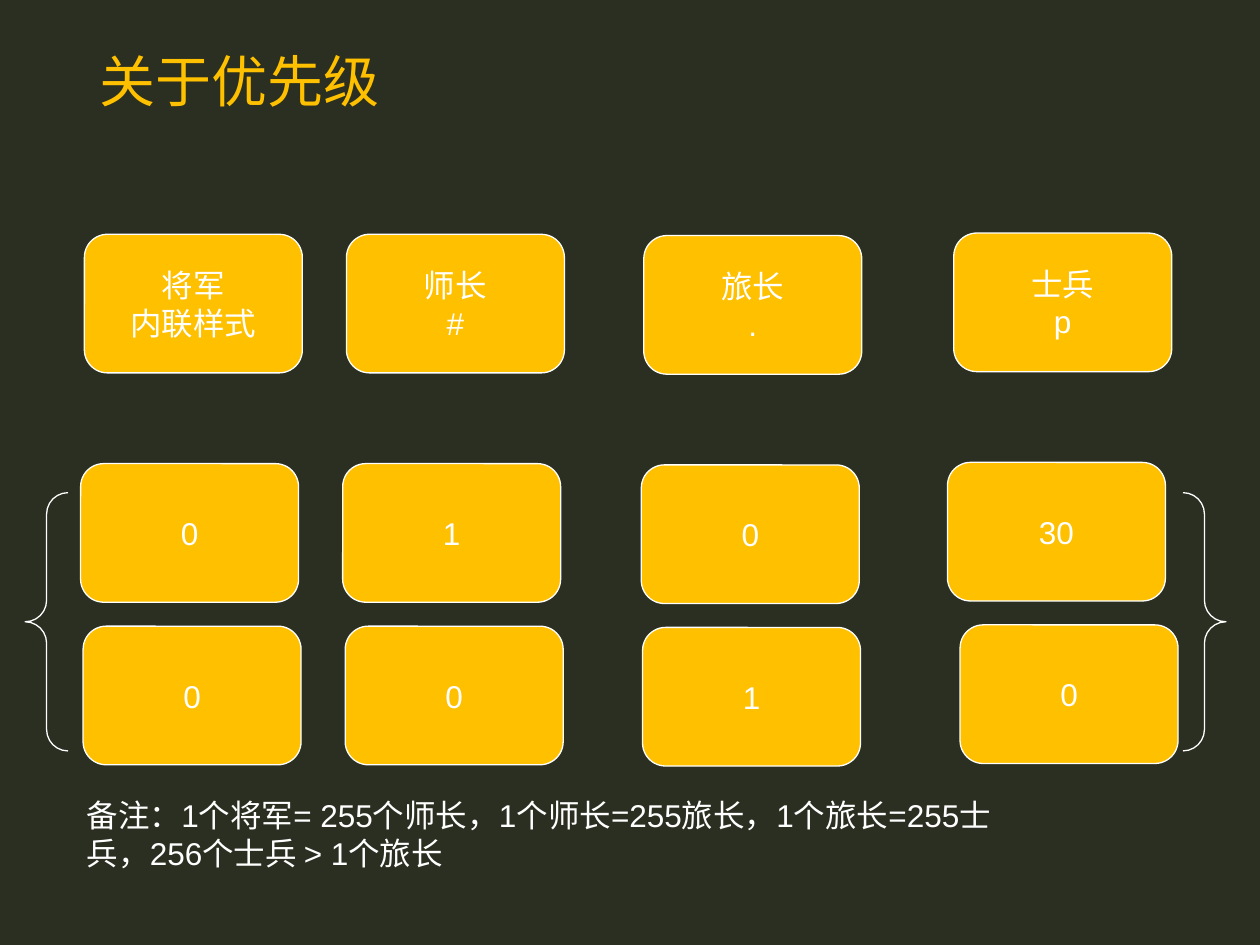
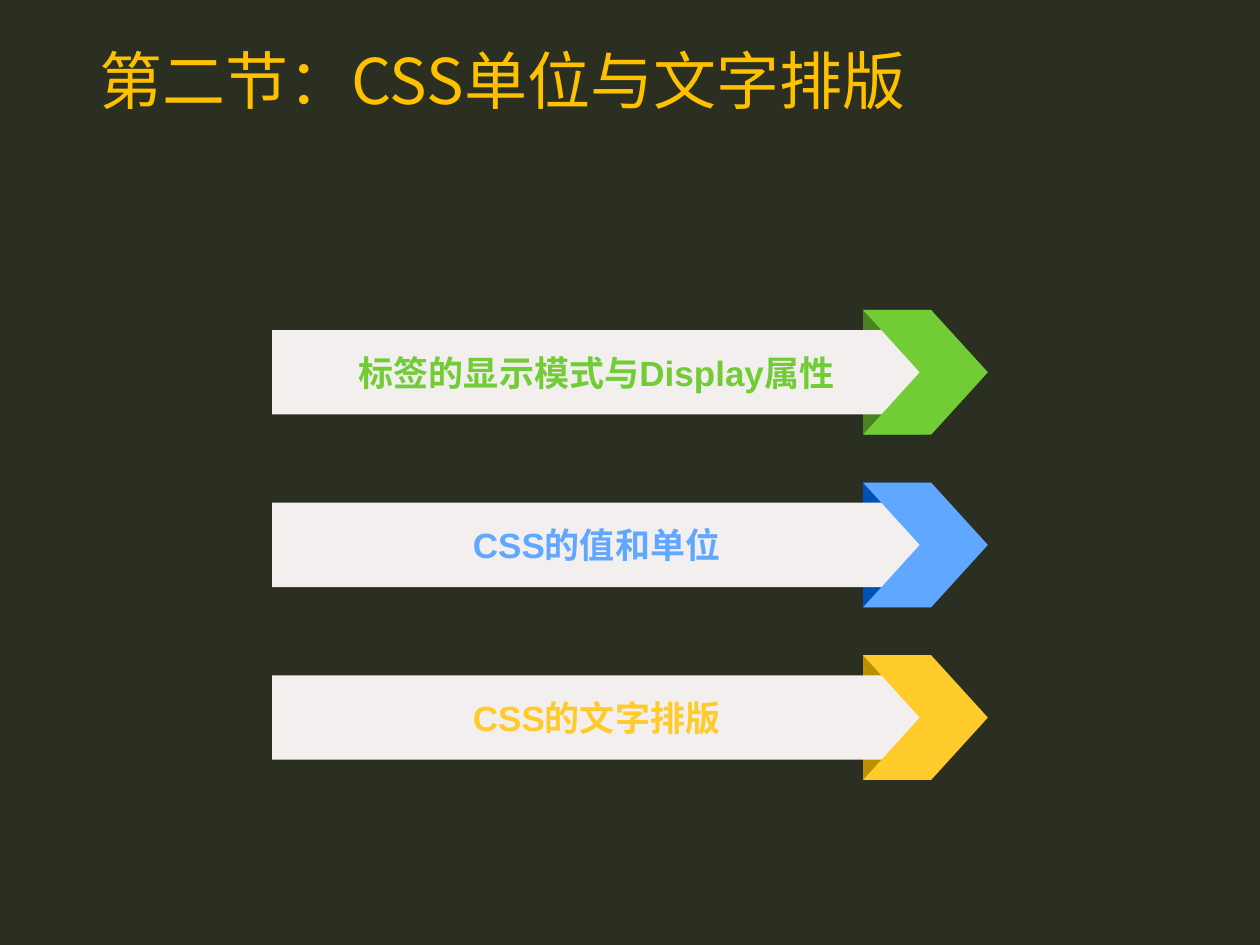
from lxml import etree
from pptx import Presentation
from pptx.dml.color import RGBColor
from pptx.enum import shapes, text
from pptx.oxml.ns import qn
from pptx.util import Inches, Pt

DARK, GOLD, WHITE, PALE = "2A2F21", "FFC000", "FFFFFF", "F3EFEF"
BODY, CJK = "Arial", "Noto Sans CJK SC"
SHAPE = shapes.MSO_SHAPE
CARD_W, CARD_H = 1.73, 1.1
COLUMN_NUDGES = (0, 0, 0.01, -0.01)
CARD_ROWS = [
    (1.86, (0.67, 2.75, 5.11, 7.57), ("将军\n内联样式", "师长\n#", "旅长\n.", "士兵\np")),
    (3.68, (0.64, 2.72, 5.09, 7.52), ("0", "1", "0", "30")),
    (4.97, (0.66, 2.74, 5.1, 7.62), ("0", "0", "1", "0")),
]
TOPICS = [
    ("标签的显示模式与Display属性", "72CC36", "498321"),
    ("CSS的值和单位", "60A7FF", "0051B4"),
    ("CSS的文字排版", "FFCB2A", "BC8F00"),
]


def rgb(value):
    return RGBColor.from_string(value)


def write(s, content, size=18, color=WHITE, font=BODY, bold=False, align="CENTER",
          anchor="MIDDLE", wrap=True, spacing=None):
    tf = s.text_frame
    tf.word_wrap = wrap
    tf.vertical_anchor = getattr(text.MSO_ANCHOR, anchor)
    for i, line in enumerate(content.split("\n")):
        p = tf.add_paragraph() if i else tf.paragraphs[0]
        p.alignment = getattr(text.PP_ALIGN, align)
        p.line_spacing = spacing
        r = p.add_run()
        r.text = line
        r.font.size, r.font.bold, r.font.name = Pt(size), bold, font
        r.font.color.rgb = rgb(color)
        ea = etree.SubElement(r.font._element, qn("a:ea"))
        ea.set("typeface", CJK)


def style(sp, fill=None, line=None):
    sp.shadow.inherit = False
    if fill:
        sp.fill.solid()
        sp.fill.fore_color.rgb = rgb(fill)
    else:
        sp.fill.background()
    if line:
        sp.line.color.rgb = rgb(line)
        sp.line.width = Pt(0.75)
    else:
        sp.line.fill.background()


def add_preset(s, kind, box, fill=None, line=None):
    sp = s.shapes.add_shape(kind, *map(Inches, box))
    style(sp, fill, line)
    return sp


def add_slide(prs, title, size):
    s = prs.slides.add_slide(prs.slide_layouts[5])
    sp = s.shapes.title
    sp.left, sp.top, sp.width, sp.height = map(Inches, (0.69, 0.22, 8.63, 0.9))
    write(sp, title, size=size, color=GOLD, font=CJK, align="LEFT", spacing=0.9)
    return s


def add_card_row(s, top, lefts, labels):
    for left, nudge, label in zip(lefts, COLUMN_NUDGES, labels):
        box = left, top + nudge, CARD_W, CARD_H
        sp = add_preset(s, SHAPE.ROUNDED_RECTANGLE, box, GOLD, WHITE)
        write(sp, label, wrap=False)


def add_topic(s, box, label, color, fold_color):
    x, y, w, h = box
    head_x = x + w - h
    middle = y + h / 2
    add_preset(s, SHAPE.RECTANGLE, (head_x, y, 0.5, h), fold_color)
    bar = add_preset(s, SHAPE.RECTANGLE, (x, y + 0.16, 5.15, 0.67), PALE)
    write(bar, label, size=20, color=color, bold=True)
    points = [(head_x + 0.54, y), (x + w, middle), (head_x + 0.54, y + h),
              (head_x, y + h), (head_x + 0.45, middle)]
    builder = s.shapes.build_freeform(Inches(head_x), Inches(y))
    builder.add_line_segments([tuple(map(Inches, point)) for point in points], close=True)
    style(builder.convert_to_shape(), color)


def build_priority(prs):
    s = add_slide(prs, "关于优先级", 32)
    for row in CARD_ROWS:
        add_card_row(s, *row)
    note = s.shapes.add_textbox(*map(Inches, (0.59, 6.27, 7.51, 0.7)))
    write(note, "备注：1个将军= 255个师长，1个师长=255旅长，1个旅长=255士兵，256个士兵 > 1个旅长",
          align="LEFT", anchor="TOP")
    braces = add_preset(s, SHAPE.DOUBLE_BRACE, (0.2, 3.91, 9.53, 2.05), line=WHITE)
    braces.adjustments[0] = 0.083


def build_section(prs):
    s = add_slide(prs, "第二节：CSS单位与文字排版", 36)
    for i, topic in enumerate(TOPICS):
        add_topic(s, (2.16, 2.46 + i * 1.37, 5.68, 0.99), *topic)


def main():
    prs = Presentation()
    prs.slide_width, prs.slide_height = Inches(10), Inches(7.5)
    background = prs.slide_master.background.fill
    background.solid()
    background.fore_color.rgb = rgb(DARK)
    build_priority(prs)
    build_section(prs)
    prs.save("out.pptx")


if __name__ == "__main__":
    main()
